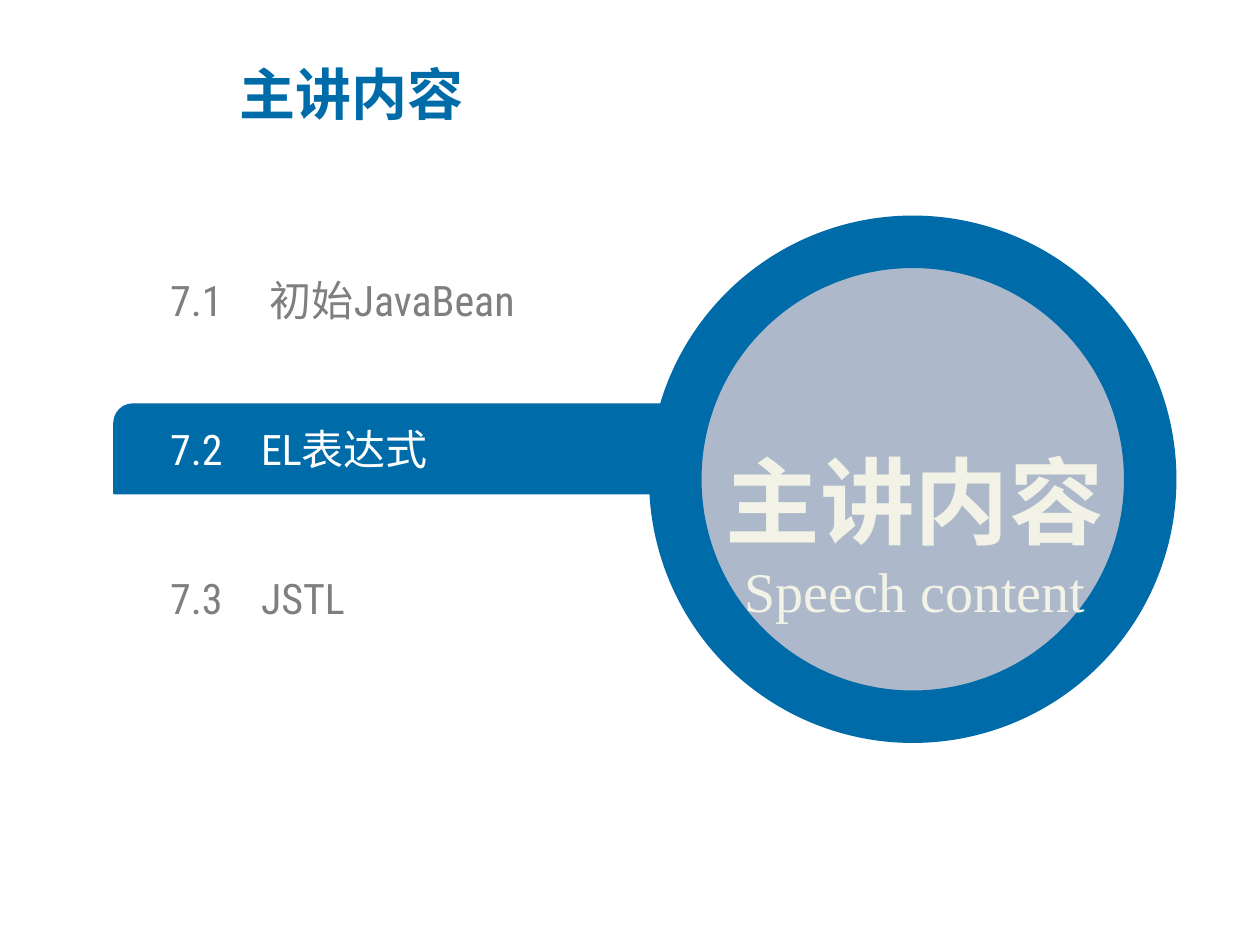
import dataclasses

import pptx
import pptx.dml.color
import pptx.enum.shapes
import pptx.enum.text
import pptx.oxml.ns
import pptx.util
from lxml import etree

Pt = pptx.util.Pt
SHAPES = pptx.enum.shapes.MSO_SHAPE
ALIGN = pptx.enum.text.PP_ALIGN


@dataclasses.dataclass(frozen=True)
class Theme:
    blue: str = "006BA9"
    grey_blue: str = "ADB9CA"
    grey: str = "7F7F7F"
    cream: str = "F2F2E6"
    white: str = "FFFFFF"
    chinese: str = "Noto Sans CJK SC"
    topic_font: str = "Roboto Condensed"
    english: str = "Times New Roman"
    title_size: int = 32
    topic_size: int = 24
    badge_size: int = 54


THEME = Theme()

# number, name, offset of the name from the number
TOPICS = [("7.1", "初始JavaBean", 57), ("7.2", "EL表达式", 52), ("7.3", "JSTL", 52)]
CURRENT_TOPIC = "7.2"


def rgb(value):
    return pptx.dml.color.RGBColor.from_string(value)


def apply(target, values):
    for name, value in values.items():
        setattr(target, name, value)


def add_filled(slide, kind, box, fill, line, line_width):
    shape = slide.shapes.add_shape(kind, *map(Pt, box))
    shape.shadow.inherit = False
    shape.fill.solid()
    shape.fill.fore_color.rgb = rgb(fill)
    shape.line.color.rgb = rgb(line)
    shape.line.width = Pt(line_width)
    return shape


def add_frame(slide, box, **values):
    frame = slide.shapes.add_textbox(*map(Pt, box)).text_frame
    apply(frame, {"word_wrap": True,
                  "vertical_anchor": pptx.enum.text.MSO_ANCHOR.MIDDLE, **values})
    return frame


def write(paragraph, text, size, font, color, bold=False):
    """Add a run whose Chinese characters use the theme's Chinese font."""
    run = paragraph.add_run()
    run.text = text
    apply(run.font, {"size": Pt(size), "name": font, "bold": bold})
    run.font.color.rgb = rgb(color)
    east_asian = etree.SubElement(run.font._element, pptx.oxml.ns.qn("a:ea"))
    east_asian.set("typeface", THEME.chinese)


def set_tab(paragraph, position):
    tabs = etree.SubElement(paragraph._p.get_or_add_pPr(), pptx.oxml.ns.qn("a:tabLst"))
    tab = etree.SubElement(tabs, pptx.oxml.ns.qn("a:tab"))
    tab.set("pos", str(Pt(position)))
    tab.set("algn", "l")


def add_title(slide, box):
    title = add_frame(slide, box).paragraphs[0]
    write(title, "主讲内容", THEME.title_size, THEME.chinese, THEME.blue, True)


def add_topics(slide, box):
    """Stack the topics evenly, with a bar behind the current one."""
    left, top, width, height = box
    row_height, bar_height, text_inset = 29, 51, 32
    pitch = (height - row_height) / (len(TOPICS) - 1)
    no_margins = dict.fromkeys(
        ("margin_left", "margin_right", "margin_top", "margin_bottom"), 0)
    for index, (number, name, name_offset) in enumerate(TOPICS):
        row_top = top + index * pitch
        color = THEME.grey
        if number == CURRENT_TOPIC:
            color = THEME.white
            bar_top = row_top + (row_height - bar_height) / 2
            bar = add_filled(slide, SHAPES.ROUND_2_DIAG_RECTANGLE,
                             (left, bar_top, width, bar_height),
                             THEME.blue, THEME.blue, 1)
            bar.adjustments[0] = 0.21
            bar.adjustments[1] = 0
        row = (left + text_inset, row_top, 333, row_height)
        topic = add_frame(slide, row, **no_margins).paragraphs[0]
        set_tab(topic, name_offset)
        write(topic, f"{number}\t{name}", THEME.topic_size, THEME.topic_font, color)


def add_badge(slide, box):
    left, top, width, _ = box
    add_filled(slide, SHAPES.OVAL, box, THEME.grey_blue, THEME.blue, 30)
    caption = add_frame(slide, (left - 3.5, top + 78.5, width + 9.5, 144),
                        auto_size=pptx.enum.text.MSO_AUTO_SIZE.SHAPE_TO_FIT_TEXT)
    chinese, english = caption.paragraphs[0], caption.add_paragraph()
    apply(chinese, {"alignment": ALIGN.CENTER, "line_spacing": 1.5})
    apply(english, {"alignment": ALIGN.CENTER})
    write(chinese, "主讲内容", THEME.badge_size, THEME.chinese, THEME.cream, True)
    write(english, "Speech content", THEME.title_size, THEME.english, THEME.cream)


def main():
    deck = pptx.Presentation()
    apply(deck, {"slide_width": Pt(720), "slide_height": Pt(540)})
    slide = deck.slides.add_slide(deck.slide_layouts[6])
    add_title(slide, (129.6, 31, 389.5, 44))
    add_topics(slide, (65.2, 157, 450, 199))
    add_badge(slide, (385.9, 138.2, 271.4, 271.4))
    deck.save("out.pptx")


if __name__ == "__main__":
    main()
